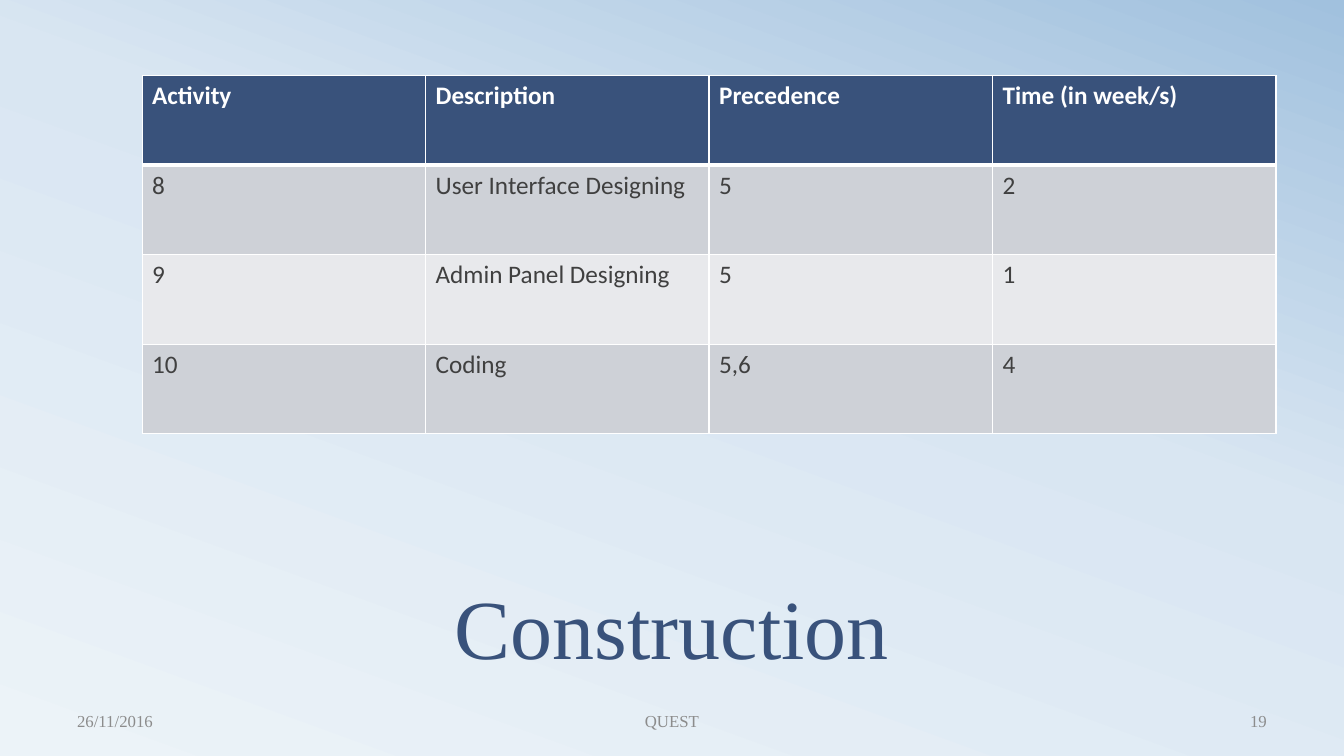
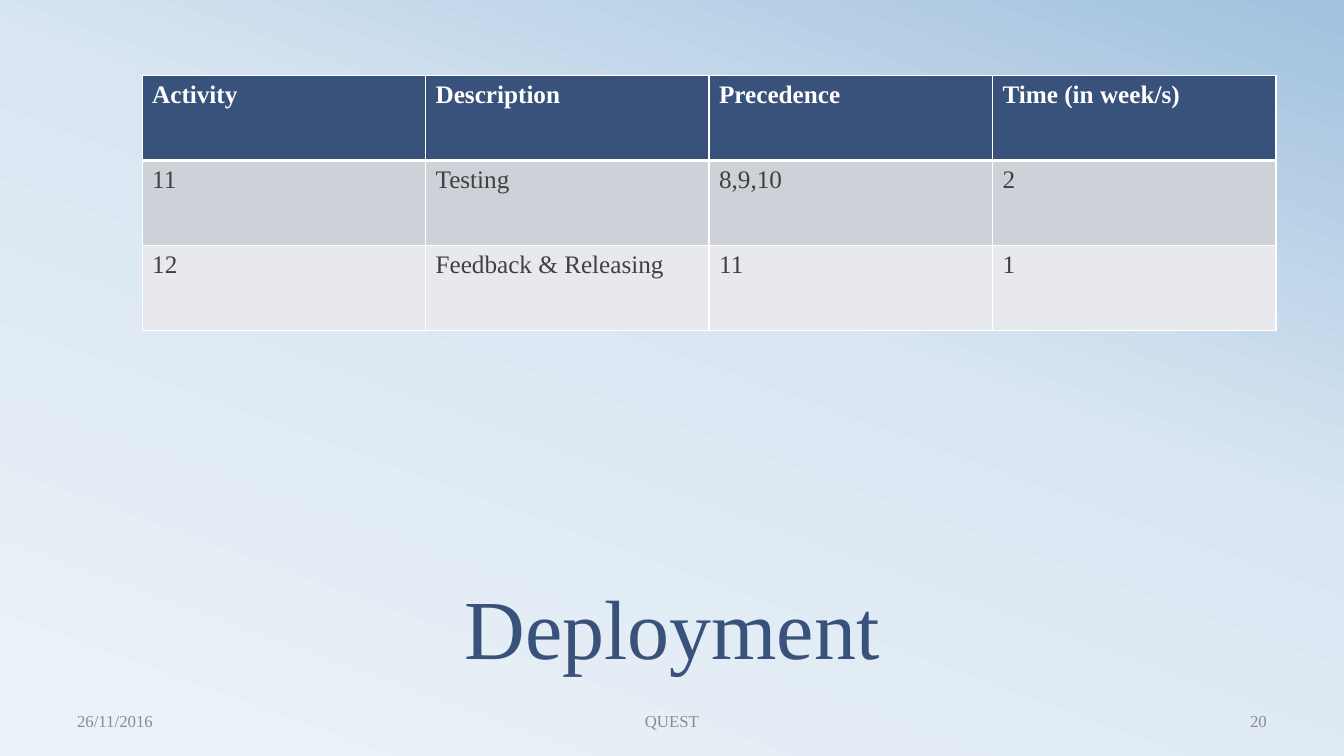
import copy
from dataclasses import dataclass

import lxml.etree
import pptx
import pptx.dml.color
import pptx.enum.text
import pptx.oxml.ns
import pptx.presentation
import pptx.slide
import pptx.table
import pptx.text.text
import pptx.util

Pt = pptx.util.Pt
ALIGN = pptx.enum.text.PP_ALIGN
ANCHOR = pptx.enum.text.MSO_ANCHOR

SERIF = "Times New Roman"
SANS = "Calibri"
NAVY, WHITE, DARK, GREY = "39527B", "FFFFFF", "404040", "8C8C8C"
BANDS = ("CED1D7", "E8E9EC")
SKY = ((0, "ECF3F8"), (0.58, "D9E6F2"), (1, "A1C1DE"))
HEADS = ("Activity", "Description", "Precedence", "Time (in week/s)")
FIRST = 19


@dataclass(frozen=True)
class Box:
    left: float
    top: float
    width: float
    height: float

    def size(self) -> tuple[pptx.util.Length, ...]:
        return Pt(self.left), Pt(self.top), Pt(self.width), Pt(self.height)


@dataclass(frozen=True)
class Phase:
    title: str
    font: str
    row: float
    tasks: tuple[tuple[str, ...], ...]


@dataclass(frozen=True)
class Note:
    text: str
    box: Box
    align: ALIGN


TITLE = Box(48, 402, 864, 84)
GRID = Box(101.5, 54, 810, 0)
PHASES = (
    Phase("Construction", SANS, 64, (
        ("8", "User Interface Designing", "5", "2"),
        ("9", "Admin Panel Designing", "5", "1"),
        ("10", "Coding", "5,6", "4"),
    )),
    Phase("Deployment", SERIF, 60.7, (
        ("11", "Testing", "8,9,10", "2"),
        ("12", "Feedback & Releasing", "11", "1"),
    )),
)


def tint(code: str) -> pptx.dml.color.RGBColor:
    return pptx.dml.color.RGBColor.from_string(code)


def write(frame: pptx.text.text.TextFrame, text: str, *, size: float, color: str,
          font: str = SERIF, bold: bool = False, align: ALIGN = ALIGN.LEFT,
          space: float = 1.0) -> None:
    frame.word_wrap = True
    para = frame.paragraphs[0]
    para.alignment = align
    para.line_spacing = space
    run = para.add_run()
    run.text = text
    run.font.name = font
    run.font.size = Pt(size)
    run.font.bold = bold
    run.font.color.rgb = tint(color)


def shade(fill: pptx.dml.fill.FillFormat) -> None:
    """Give the fill the three-stop sky gradient."""
    fill.gradient()
    fill.gradient_angle = 70
    start = fill.gradient_stops[0]._gs
    start.addnext(copy.deepcopy(start))
    for stop, (place, code) in zip(fill.gradient_stops, SKY):
        stop.position = place
        stop.color.rgb = tint(code)


def edge(cell: pptx.table._Cell, top: float, base: float) -> None:
    """Draw white borders; must come before the cell's fill."""
    qn = pptx.oxml.ns.qn
    props = cell._tc.get_or_add_tcPr()
    for side, width in (("L", 1), ("R", 1), ("T", top), ("B", base)):
        line = lxml.etree.SubElement(props, qn(f"a:ln{side}"), w=str(Pt(width)))
        solid = lxml.etree.SubElement(line, qn("a:solidFill"))
        lxml.etree.SubElement(solid, qn("a:srgbClr"), val=WHITE)


def add_grid(slide: pptx.slide.Slide, phase: Phase) -> None:
    rows = (HEADS, *phase.tasks)
    box = Box(GRID.left, GRID.top, GRID.width, phase.row * len(rows))
    table = slide.shapes.add_table(len(rows), len(HEADS), *box.size()).table
    for col in table.columns:
        col.width = Pt(GRID.width / len(HEADS))
    for r, texts in enumerate(rows):
        table.rows[r].height = Pt(phase.row)
        head = r == 0
        for c, text in enumerate(texts):
            cell = table.cell(r, c)
            edge(cell, top=3 if r == 1 else 1, base=3 if head else 1)
            cell.fill.solid()
            cell.fill.fore_color.rgb = tint(NAVY if head else BANDS[(r - 1) % 2])
            write(cell.text_frame, text, size=18, font=phase.font, bold=head,
                  color=WHITE if head else DARK)


def add_foot(slide: pptx.slide.Slide, page: int) -> None:
    top, height = 500.5, 28.8
    notes = (
        Note("26/11/2016", Box(48, top, 224, height), ALIGN.LEFT),
        Note("QUEST", Box(328, top, 304, height), ALIGN.CENTER),
        Note(str(page), Box(688, top, 224, height), ALIGN.RIGHT),
    )
    for note in notes:
        frame = slide.shapes.add_textbox(*note.box.size()).text_frame
        frame.vertical_anchor = ANCHOR.MIDDLE
        write(frame, note.text, size=12, color=GREY, align=note.align)


def add_title(slide: pptx.slide.Slide, text: str) -> None:
    title = slide.shapes.title
    title.left, title.top, title.width, title.height = TITLE.size()
    title.text_frame.vertical_anchor = ANCHOR.BOTTOM
    write(title.text_frame, text, size=60, color=NAVY, align=ALIGN.CENTER, space=0.8)


def add_phase(deck: pptx.presentation.Presentation, phase: Phase, page: int) -> None:
    slide = deck.slides.add_slide(deck.slide_layouts.get_by_name("Title Only"))
    add_title(slide, phase.title)
    add_grid(slide, phase)
    add_foot(slide, page)


def main() -> None:
    deck = pptx.Presentation()
    deck.slide_width, deck.slide_height = Pt(960), Pt(540)
    shade(deck.slide_master.background.fill)
    for page, phase in enumerate(PHASES, FIRST):
        add_phase(deck, phase, page)
    deck.save("out.pptx")


if __name__ == "__main__":
    main()
